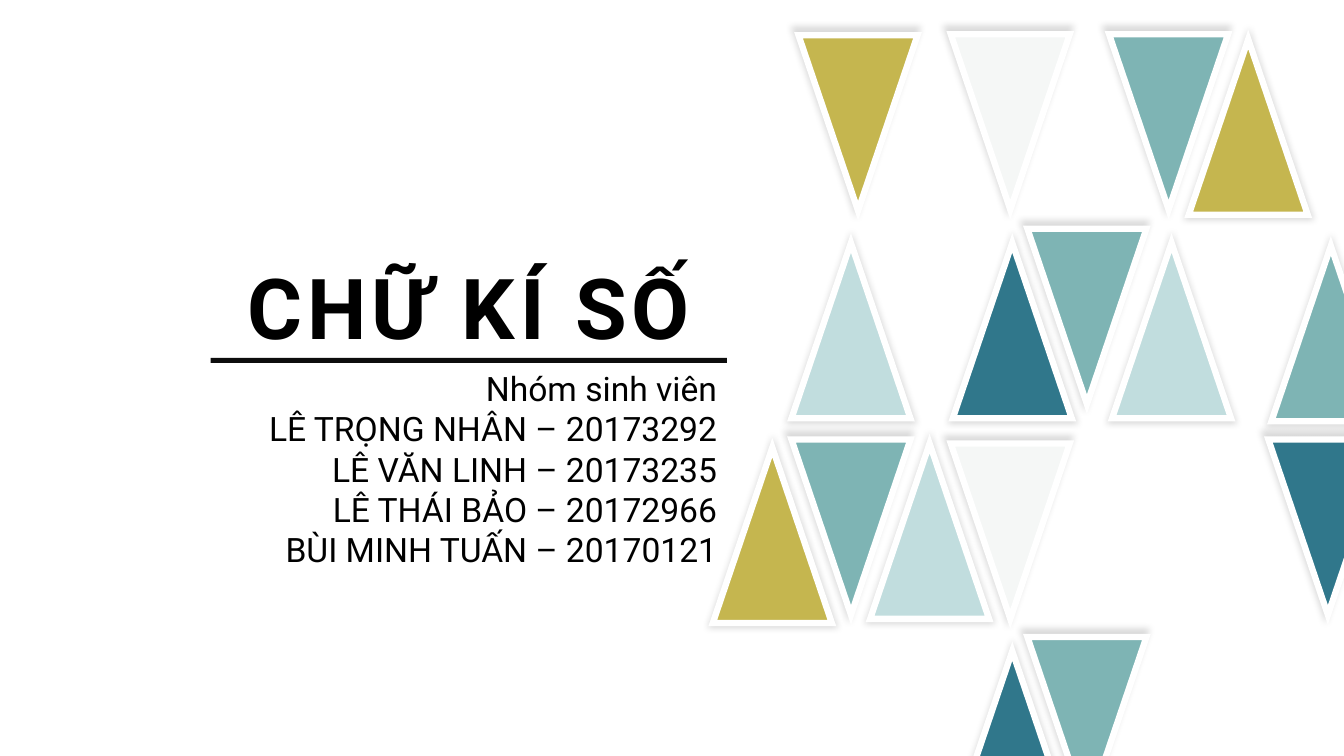
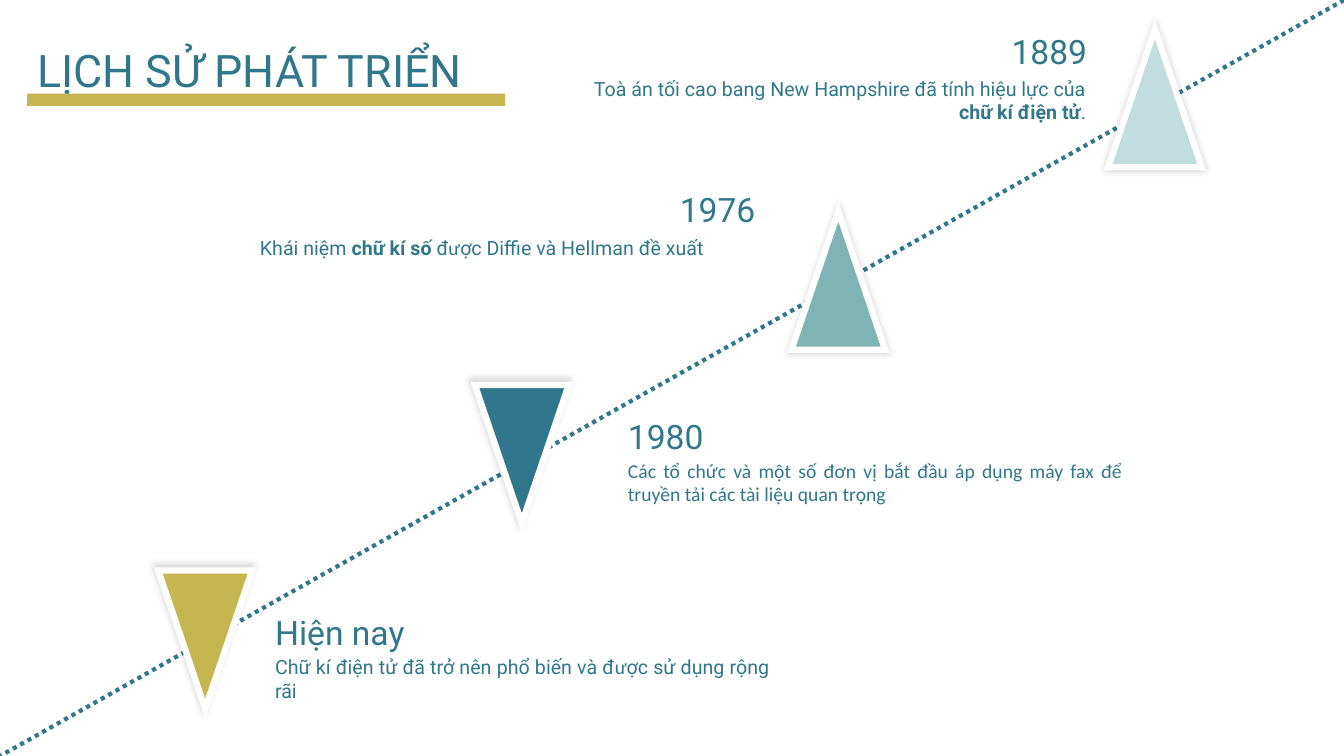
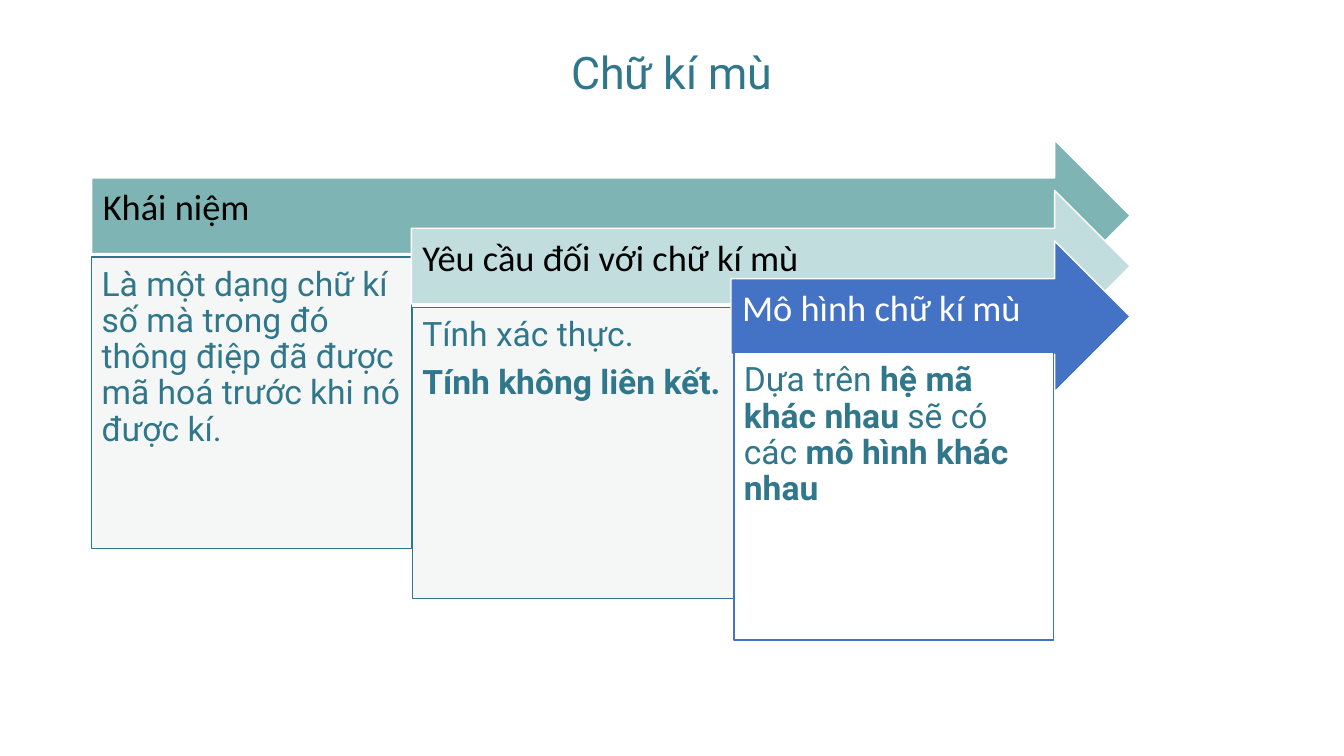
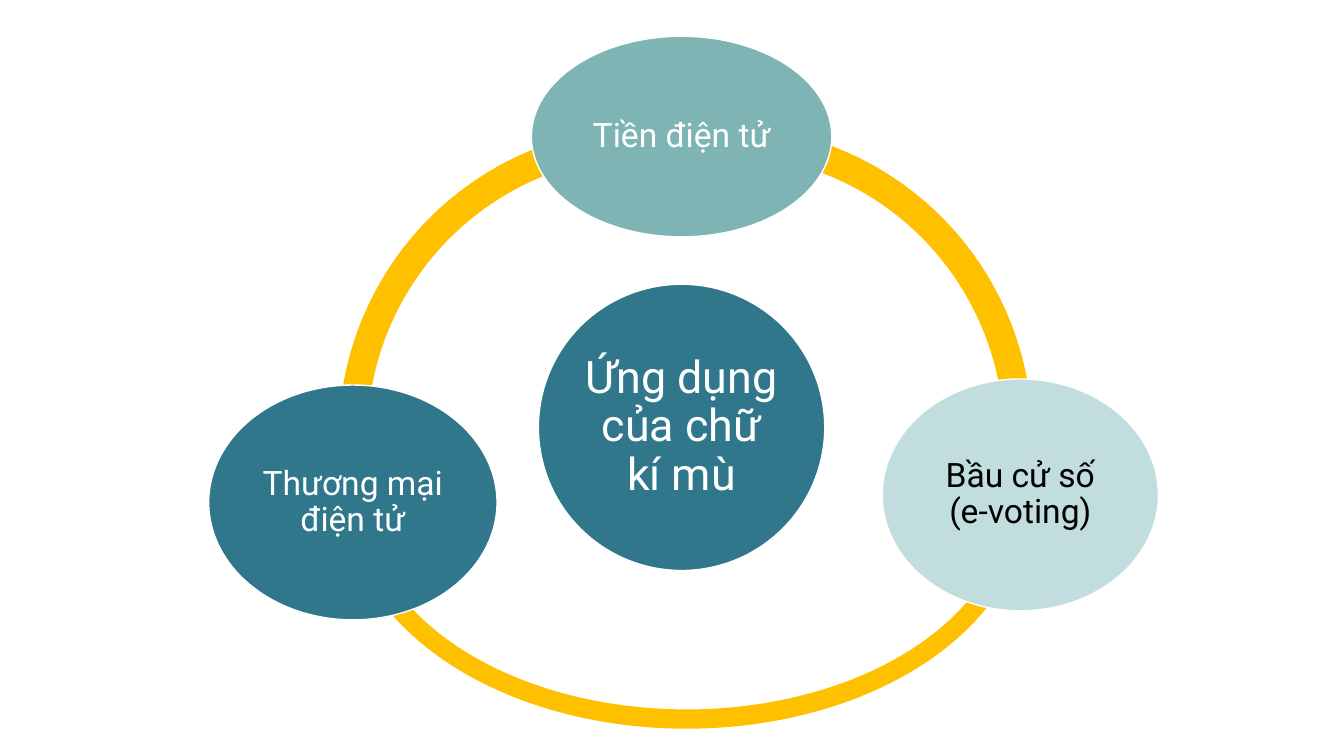
from lxml import etree
from pptx import Presentation
from pptx.dml.color import RGBColor
from pptx.enum.dml import MSO_LINE
from pptx.enum.shapes import MSO_CONNECTOR, MSO_SHAPE
from pptx.enum.text import MSO_ANCHOR, PP_ALIGN
from pptx.oxml.ns import qn
from pptx.util import Inches, Pt

COLORS = {
    "teal": "30778B", "sea": "7EB4B4", "mist": "C1DDDE", "olive": "C5B64F",
    "pale": "F5F7F6", "blue": "4472C4", "amber": "FFC000",
    "white": "FFFFFF", "black": "000000", "rule": "0D0D0D",
}
ROBOTO, CALIBRI = "Roboto", "Calibri"
LEFT, CENTER, RIGHT, JUSTIFY = PP_ALIGN.LEFT, PP_ALIGN.CENTER, PP_ALIGN.RIGHT, PP_ALIGN.JUSTIFY
TOP, MIDDLE = MSO_ANCHOR.TOP, MSO_ANCHOR.MIDDLE
TRIANGLE, RECTANGLE = MSO_SHAPE.ISOSCELES_TRIANGLE, MSO_SHAPE.RECTANGLE
ARROW, ELLIPSE, ARC = MSO_SHAPE.RIGHT_ARROW, MSO_SHAPE.OVAL, MSO_SHAPE.BLOCK_ARC
STRAIGHT, DOTTED = MSO_CONNECTOR.STRAIGHT, MSO_LINE.ROUND_DOT
DEFAULT_INSETS = (0.1, 0.05, 0.1, 0.05)


def rgb(name):
    """Return the palette colour of that name."""
    return RGBColor.from_string(COLORS[name])


def write_text(shape, paragraphs, size, color="teal", font=ROBOTO, align=LEFT, bold=False,
               anchor=TOP, insets=DEFAULT_INSETS, line_spacing=None, space_after=None, tracking=None):
    """Fill a shape with paragraphs, each a string or a list of (text, bold, font) runs."""
    frame = shape.text_frame
    frame.word_wrap = True
    frame.vertical_anchor = anchor
    frame.margin_left, frame.margin_top, frame.margin_right, frame.margin_bottom = map(Inches, insets)
    for index, content in enumerate(paragraphs):
        paragraph = frame.add_paragraph() if index else frame.paragraphs[0]
        paragraph.alignment = align
        paragraph.line_spacing = line_spacing
        paragraph.space_after = space_after
        runs = [(content, bold, font)] if isinstance(content, str) else content
        for text, run_bold, run_font in runs:
            run = paragraph.add_run()
            run.text = text
            run.font.size = Pt(size)
            run.font.name = run_font
            run.font.bold = run_bold
            run.font.color.rgb = rgb(color)
            if tracking:
                run.font._element.set("spc", str(tracking))


def add_text(slide, box, paragraphs, size, **style):
    """Add a text box."""
    shape = slide.shapes.add_textbox(*map(Inches, box))
    write_text(shape, paragraphs, size, **style)


def add_figure(slide, kind, box, fill, line=None, width=1):
    """Add a flat preset shape with an optional outline."""
    shape = slide.shapes.add_shape(kind, *map(Inches, box))
    shape.shadow.inherit = False
    shape.fill.solid()
    shape.fill.fore_color.rgb = rgb(fill)
    if line:
        shape.line.color.rgb = rgb(line)
        shape.line.width = Pt(width)
    else:
        shape.line.fill.background()
    return shape


def add_triangle(slide, left, top, size, fill, inverted):
    """Add a triangle with a thick white border and a soft shadow."""
    shape = add_figure(slide, TRIANGLE, (left, top, *size), fill, "white", 4.5)
    shape.rotation = 180 if inverted else 0
    etree.SubElement(shape.line._get_or_add_ln(), qn("a:miter"), lim="800000")
    effects = shape._element.spPr.find(qn("a:effectLst"))
    shadow = etree.SubElement(effects, qn("a:outerShdw"), blurRad=str(Pt(5)), sx="102000",
                              sy="102000", algn="ctr", rotWithShape="0")
    shade = etree.SubElement(shadow, qn("a:srgbClr"), val=COLORS["black"])
    etree.SubElement(shade, qn("a:alpha"), val="15000")


def add_arc(slide, box, start, end, thickness):
    """Add an amber ring segment running clockwise between two angles in degrees."""
    shape = add_figure(slide, ARC, box, "amber")
    for index, value in enumerate((start * 0.6, end * 0.6, thickness)):
        shape.adjustments[index] = value


def add_dotted_line(slide, start, end):
    """Add a dotted line without a shadow."""
    line = slide.shapes.add_connector(STRAIGHT, *map(Inches, (*start, *end)))
    line.line.color.rgb = rgb("teal")
    line.line.width = Pt(3)
    line.line.dash_style = DOTTED
    etree.SubElement(line._element.spPr, qn("a:effectLst"))


def add_title(slide, left, top, text, align=LEFT):
    """Add a slide title."""
    add_text(slide, (left, top, 6.59, 0.64), [text], 32, align=align)


def build_cover(slide):
    """Build the cover with its triangle mosaic."""
    add_text(slide, (2.09, 2.49, 5.12, 1.11), ["CHỮ KÍ SỐ"], 60, color="black",
             align=CENTER, bold=True, tracking=350)
    triangles = [
        (7.85, 4.36, "sea", True), (7.85, 2.41, "mist", False), (7.92, 0.35, "olive", True),
        (8.63, 4.4, "mist", False), (7.07, 4.44, "olive", False), (9.45, 2.41, "teal", False),
        (10.19, 2.27, "sea", True), (11.03, 2.41, "mist", False), (11, 0.34, "sea", True),
        (9.43, 0.34, "pale", True), (11.79, 0.39, "olive", False), (12.61, 2.44, "sea", False),
        (9.43, 4.4, "pale", True), (12.58, 4.36, "teal", True), (9.45, 6.46, "teal", False),
        (10.19, 6.32, "sea", True),
    ]
    for left, top, fill, inverted in triangles:
        add_triangle(slide, left, top, (1.18, 1.74), fill, inverted)
    add_figure(slide, RECTANGLE, (2.09, 3.55, 5.12, 0.05), "rule")
    students = ["Nhóm sinh viên", "LÊ TRỌNG NHÂN – 20173292", "LÊ VĂN LINH – 20173235",
                "LÊ THÁI BẢO – 20172966", "BÙI MINH TUẤN – 20170121"]
    add_text(slide, (2.09, 3.6, 5.12, 2.52), students, 24, color="black", align=RIGHT)


def build_timeline(slide):
    """Build the history timeline along a rising diagonal."""
    add_dotted_line(slide, (13.33, 0), (0, 7.5))
    markers = [(5.66, "olive", True), (3.82, "teal", True), (2.1, "sea", False), (0.29, "mist", False)]
    for index, (top, fill, inverted) in enumerate(markers):
        add_triangle(slide, 1.57 + 3.14 * index, top, (0.93, 1.37), fill, inverted)
    events = [
        ("Hiện nay", 2.63, 6.07, LEFT, 2.63, 6.45, JUSTIFY,
         [("Chữ kí điện tử đã trở nên phổ biến và đ", False, ROBOTO), ("ư", False, CALIBRI),
          ("ợc sử dụng rộng rãi", False, ROBOTO)]),
        ("1980", 6.13, 4.12, LEFT, 6.13, 4.5, JUSTIFY,
         [("Các tổ chức và một số đơn vị bắt đầu áp dụng máy fax để truyền tải các tài liệu "
           "quan trọng", False, CALIBRI)]),
        ("1976", 5.01, 1.87, RIGHT, 2.48, 2.29, JUSTIFY,
         [("Khái niệm ", False, ROBOTO), ("chữ kí số ", True, ROBOTO), ("đ", False, ROBOTO),
          ("ư", False, CALIBRI), ("ợc Diffie và Hellman đề xuất", False, ROBOTO)]),
        ("1889", 8.3, 0.3, RIGHT, 5.77, 0.71, RIGHT,
         [("Toà án tối cao bang New Hampshire đã tính hiệu lực của ", False, ROBOTO),
          ("chữ kí điện tử", True, ROBOTO), (".", False, ROBOTO)]),
    ]
    for year, year_left, year_top, year_align, left, top, align, detail in events:
        add_text(slide, (year_left, year_top, 2.58, 0.38), [year], 24, align=year_align, line_spacing=0.9)
        add_text(slide, (left, top, 5.1, 0.57), [detail], 14, align=align)
    add_title(slide, 0.27, 0.37, "LỊCH SỬ PHÁT TRIỂN")
    add_figure(slide, RECTANGLE, (0.27, 0.93, 4.74, 0.12), "olive")


def build_blind_signature(slide):
    """Build the three stepped arrows, each with its panel."""
    steps = [
        ("Khái niệm", "sea", "black", (0.91, 2.55, 3.17, 2.89), "pale", "teal",
         ["Là một dạng chữ kí số mà trong đó thông điệp đã được mã hoá trước khi nó được kí."]),
        ("Yêu cầu đối với chữ kí mù", "mist", "black", (4.09, 3.05, 3.41, 2.89), "pale", "teal",
         ["Tính xác thực.", [("Tính không liên kết.", True, ROBOTO)]]),
        ("Mô hình chữ kí mù", "blue", "white", (7.28, 3.5, 3.17, 2.85), "white", "blue",
         [[("Dựa trên ", False, ROBOTO), ("hệ mã khác nhau ", True, ROBOTO),
           ("sẽ có các ", False, ROBOTO), ("mô hình khác nhau", True, ROBOTO)]]),
    ]
    for index, (heading, fill, color, panel_box, panel_fill, border, body) in enumerate(steps):
        left = 0.91 + 3.17 * index
        arrow = add_figure(slide, ARROW, (left, 1.39 + 0.5 * index, 11.21 - left, 1.5), fill, "white")
        write_text(arrow, [heading], 26, color=color, font=CALIBRI, anchor=MIDDLE,
                   insets=(0.11, 0.11, 0.28, 0.24), line_spacing=0.9)
        panel = add_figure(slide, RECTANGLE, panel_box, panel_fill, border)
        write_text(panel, body, 24, insets=(0.1, 0.1, 0.1, 0.1), line_spacing=0.9, space_after=Pt(8.4))
    add_title(slide, 3.37, 0.39, "Chữ kí mù", CENTER)


def build_applications(slide):
    """Build the ring of applications around a central circle."""
    add_arc(slide, (3.36, 1.26, 6.16, 6.16), 167.64, 276.06, 0.046)
    add_arc(slide, (3.43, 2.67, 6.76, 4.56), 359.33, 179.33, 0.042)
    add_arc(slide, (4.08, 1.25, 6.16, 6.16), 262.34, 11.06, 0.046)
    bubbles = [
        ("Ứng dụng của chữ kí mù", (5.34, 2.82, 2.84, 2.84), "teal", "white", 32),
        ("Tiền điện tử", (5.27, 0.36, 2.98, 1.99), "sea", "white", 24),
        ("Bầu cử số (e-voting)", (8.75, 3.76, 2.74, 2.3), "mist", "black", 24),
        ("Thương mại điện tử", (2.07, 3.82, 2.86, 2.33), "teal", "white", 24),
    ]
    for text, box, fill, color, size in bubbles:
        bubble = add_figure(slide, ELLIPSE, box, fill, "white")
        write_text(bubble, [text], size, color=color, align=CENTER, anchor=MIDDLE,
                   insets=(0.03, 0.03, 0.03, 0.03), line_spacing=0.9)


def main():
    """Build and save the presentation."""
    presentation = Presentation()
    presentation.slide_width = Inches(13.33)
    presentation.slide_height = Inches(7.5)
    blank = presentation.slide_layouts[6]
    for build in (build_cover, build_timeline, build_blind_signature, build_applications):
        build(presentation.slides.add_slide(blank))
    presentation.save("out.pptx")


if __name__ == "__main__":
    main()
